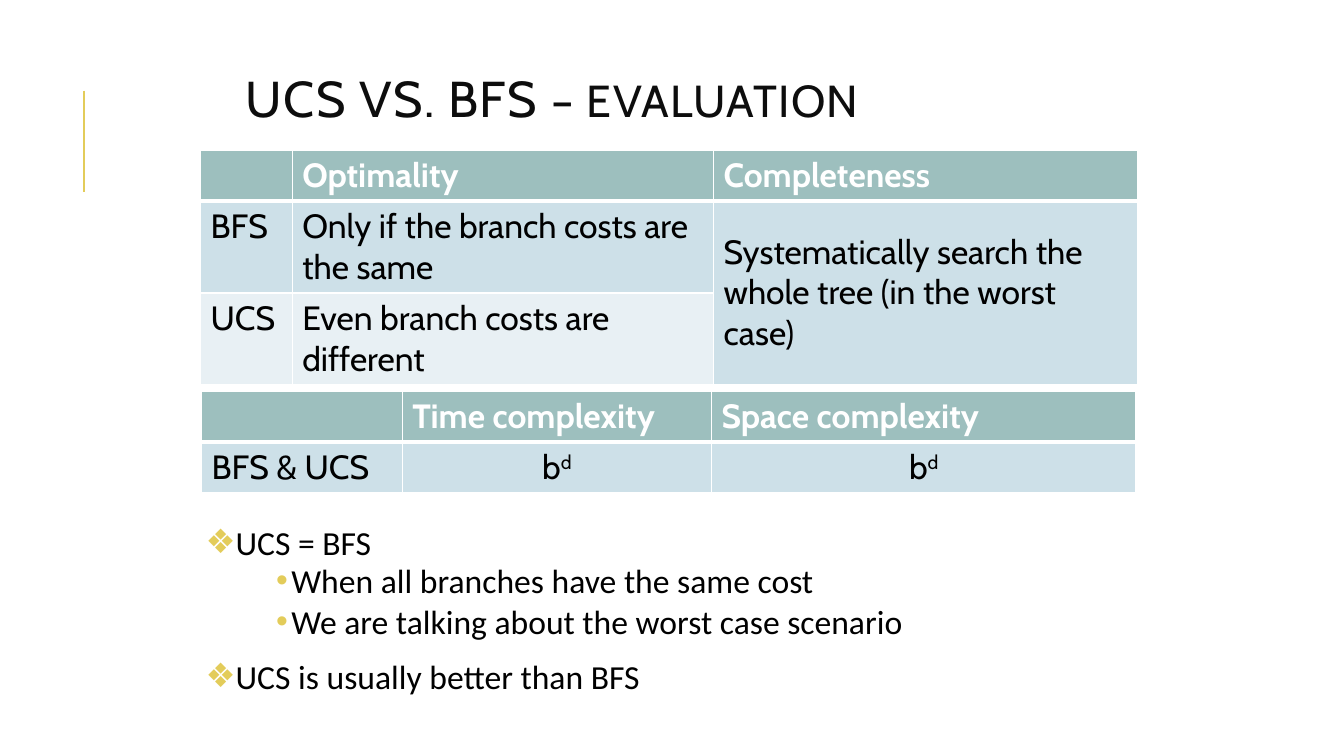
"""Build a slide that compares UCS and BFS in two tables and a short list."""
from lxml import etree
from pptx import Presentation
from pptx.dml.color import RGBColor
from pptx.enum.shapes import MSO_CONNECTOR
from pptx.enum.text import MSO_ANCHOR, MSO_AUTO_SIZE, PP_ALIGN
from pptx.oxml.ns import qn
from pptx.util import Inches, Pt

STRAIGHT = MSO_CONNECTOR.STRAIGHT
TOP, MIDDLE = MSO_ANCHOR.TOP, MSO_ANCHOR.MIDDLE
LEFT, CENTER = PP_ALIGN.LEFT, PP_ALIGN.CENTER
NO_FIT = MSO_AUTO_SIZE.NONE

COLORS = {
    "accent": "E3CC5A", "title": "0D0D0D", "text": "000000", "white": "FFFFFF",
    "header": "9DBFBE", "band": "CDE0E8", "pale": "E8F0F4",
}
FORMATS = {
    "title": {"name": "Cabin", "size": Pt(36), "bold": False},
    "subtitle": {"name": "Cabin", "size": Pt(32), "bold": False},
    "header": {"name": "Cabin", "size": Pt(24), "bold": True},
    "cell": {"name": "Cabin", "size": Pt(24), "bold": False},
    "list": {"name": "Calibri", "size": Pt(24), "bold": False},
}
BULLETS = {
    0: {"mark": "❖", "margin": 0.1, "hang": 0.1, "before": 12, "after": 2},
    4: {"mark": "•", "margin": 0.85, "hang": 0.15, "before": 2, "after": 4},
}
COLUMNS, ROWS = 80, 45


def apply(target, values):
    for name, value in values.items():
        setattr(target, name, value)


class SlideBuilder:
    def __init__(self, presentation):
        self.column = presentation.slide_width / COLUMNS
        self.row = presentation.slide_height / ROWS
        self.slide = presentation.slides.add_slide(presentation.slide_layouts[1])

    def across(self, columns):
        return round(columns * self.column)

    def down(self, rows):
        return round(rows * self.row)

    def place(self, shape, left, top, width, height):
        apply(shape, {
            "left": self.across(left), "top": self.down(top),
            "width": self.across(width), "height": self.down(height),
        })

    def run(self, paragraph, text, style, color):
        run = paragraph.add_run()
        run.text = text
        apply(run.font, FORMATS[style])
        run.font.color.rgb = RGBColor.from_string(COLORS[color])
        return run.font._element

    def rule(self, left, start, end):
        line = self.slide.shapes.add_connector(
            STRAIGHT, self.across(left), self.down(start), self.across(left), self.down(end))
        line.line.color.rgb = RGBColor.from_string(COLORS["accent"])
        line.line.width = Pt(1.5)
        etree.SubElement(line._element.spPr, qn("a:effectLst"))

    def title(self, parts, *box):
        shape = self.slide.shapes.title
        self.place(shape, *box)
        apply(shape.text_frame, {
            "vertical_anchor": MIDDLE, "auto_size": NO_FIT, "word_wrap": True})
        paragraph = shape.text_frame.paragraphs[0]
        apply(paragraph, {"alignment": LEFT, "line_spacing": 0.8, "space_after": Pt(3)})
        for text, style in parts:
            self.run(paragraph, text, style, "title").set("spc", "100")

    def bullet(self, paragraph, mark, margin, hang):
        properties = paragraph._p.get_or_add_pPr()
        properties.set("marL", str(Inches(margin)))
        properties.set("indent", str(-Inches(hang)))
        color = etree.SubElement(properties, qn("a:buClr"))
        etree.SubElement(color, qn("a:srgbClr"), val=COLORS["accent"])
        etree.SubElement(properties, qn("a:buChar"), char=mark)

    def bullet_list(self, items, *box):
        shape = self.slide.placeholders[1]
        self.place(shape, *box)
        frame = shape.text_frame
        sides = ("left", "top", "right", "bottom")
        apply(frame, {f"margin_{side}": Inches(0.05) for side in sides})
        apply(frame, {"vertical_anchor": TOP, "auto_size": NO_FIT, "word_wrap": True})
        for index, (level, text) in enumerate(items):
            paragraph = frame.add_paragraph() if index else frame.paragraphs[0]
            kind = BULLETS[level]
            self.bullet(paragraph, kind["mark"], kind["margin"], kind["hang"])
            apply(paragraph, {
                "level": level, "alignment": LEFT, "line_spacing": 0.8,
                "space_before": Pt(kind["before"] if index else 0),
                "space_after": Pt(kind["after"]),
            })
            self.run(paragraph, text, "list", "text")

    def borders(self, cell, widths):
        properties = cell._tc.get_or_add_tcPr()
        for index, (side, width) in enumerate(widths.items()):
            line = etree.Element(qn(f"a:ln{side}"), w=str(Pt(width)))
            fill = etree.SubElement(line, qn("a:solidFill"))
            etree.SubElement(fill, qn("a:srgbClr"), val=COLORS["white"])
            properties.insert(index, line)

    def cell(self, cell, content, row, color):
        cell.fill.solid()
        cell.fill.fore_color.rgb = RGBColor.from_string(COLORS[color])
        self.borders(cell, {
            "L": 1, "R": 1, "T": 3 if row == 1 else 1, "B": 1 if row else 3})
        if not content:
            return
        style, ink = ("cell", "text") if row else ("header", "white")
        paragraph = cell.text_frame.paragraphs[0]
        if isinstance(content, tuple):
            base, power = content
            paragraph.alignment = CENTER
            cell.vertical_anchor = MIDDLE
            self.run(paragraph, base, style, ink)
            self.run(paragraph, power, style, ink).set("baseline", "30000")
        else:
            self.run(paragraph, content, style, ink)

    def table(self, contents, left, top, widths, heights):
        frame = self.slide.shapes.add_table(
            len(heights), len(widths), self.across(left), self.down(top),
            self.across(sum(widths)), self.down(sum(heights)))
        table = frame.table
        for column, width in zip(table.columns, widths):
            column.width = self.across(width)
        for row, height in zip(table.rows, heights):
            row.height = self.down(height)
        for row, (color, texts) in enumerate(zip(("header", "band", "pale"), contents)):
            for column, content in enumerate(texts):
                self.cell(table.cell(row, column), content, row, color)
        return table


def main():
    presentation = Presentation()
    presentation.slide_width, presentation.slide_height = Inches(13.33), Inches(7.5)
    builder = SlideBuilder(presentation)
    builder.rule(5, 5.4, 11.4)
    builder.title([("UCS VS. BFS ", "title"), ("– EVALUATION", "subtitle")],
                  14.04, 1.2, 47.8, 9.84)
    builder.bullet_list([
        (0, "UCS = BFS"),
        (4, "When all branches have the same cost"),
        (4, "We are talking about the worst case scenario"),
        (0, "UCS is usually better than BFS"),
    ], 11.94, 31.26, 48, 11.16)
    quality = builder.table([
        ("", "Optimality", "Completeness"),
        ("BFS", "Only if the branch costs are the same",
         "Systematically search the whole tree (in the worst case)"),
        ("UCS", "Even branch costs are different", ""),
    ], 11.94, 8.94, (5.46, 25.08, 25.26), (3, 5.4, 5.4))
    completeness = quality.cell(1, 2)
    completeness.merge(quality.cell(2, 2))
    completeness.vertical_anchor = MIDDLE
    power = ("b", "d")
    builder.table([
        ("", "Time complexity", "Space complexity"),
        ("BFS & UCS", power, power),
    ], 12, 23.28, (11.94, 18.42, 25.26), (3, 3))
    presentation.save("out.pptx")


if __name__ == "__main__":
    main()
